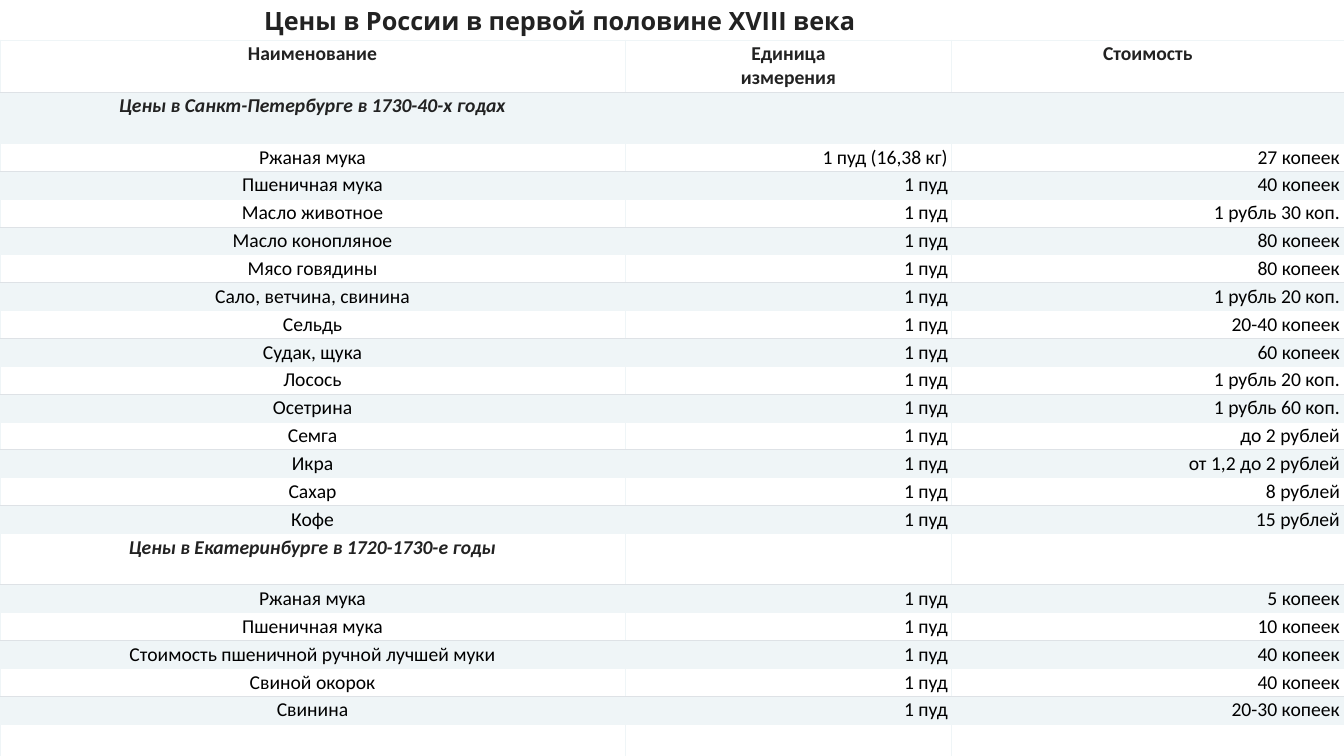
from lxml.etree import SubElement
from pptx import Presentation
from pptx.dml.color import RGBColor
from pptx.enum.text import MSO_ANCHOR, MSO_AUTO_SIZE, PP_ALIGN
from pptx.oxml.ns import qn
from pptx.util import Inches, Pt

TITLE = "Цены в России в первой половине XVIII века"
HEADER = ("Наименование", "Единица\nизмерения", "Стоимость")
PETERSBURG = [
    ("Ржаная мука", "1 пуд (16,38 кг)", "27 копеек"),
    ("Пшеничная мука", "1 пуд", "40 копеек"),
    ("Масло животное", "1 пуд", "1 рубль 30 коп."),
    ("Масло конопляное", "1 пуд", "80 копеек"),
    ("Мясо говядины", "1 пуд", "80 копеек"),
    ("Сало, ветчина, свинина", "1 пуд", "1 рубль 20 коп."),
    ("Сельдь", "1 пуд", "20-40 копеек"),
    ("Судак, щука", "1 пуд", "60 копеек"),
    ("Лосось", "1 пуд", "1 рубль 20 коп."),
    ("Осетрина", "1 пуд", "1 рубль 60 коп."),
    ("Семга", "1 пуд", "до 2 рублей"),
    ("Икра", "1 пуд", "от 1,2 до 2 рублей"),
    ("Сахар", "1 пуд", "8 рублей"),
    ("Кофе", "1 пуд", "15 рублей"),
]
YEKATERINBURG = [
    ("Ржаная мука", "1 пуд", "5 копеек"),
    ("Пшеничная мука", "1 пуд", "10 копеек"),
    ("Стоимость пшеничной ручной лучшей муки", "1 пуд", "40 копеек"),
    ("Свиной окорок", "1 пуд", "40 копеек"),
    ("Свинина", "1 пуд", "20-30 копеек"),
]
ROWS = [
    ("header", HEADER),
    ("section", ("Цены в Санкт-Петербурге в 1730-40-х годах", "", "")),
    *(("item", prices) for prices in PETERSBURG),
    ("section", ("Цены в Екатеринбурге в 1720-1730-е годы", "", "")),
    *(("item", prices) for prices in YEKATERINBURG),
    ("blank", ("", "", "")),
]

COLORS = {"white": "FFFFFF", "band": "EFF5F7", "rule": "DEE2E6",
          "heading": "222222", "text": "000000"}
COLUMN_WIDTHS = (6.2, 3.24, 3.89)
ROW_HEIGHTS = {"header": 0.51, "section": 0.51, "item": 0.27, "blank": 0.5}
FONTS = {
    "header": {"name": "Calibri", "size": Pt(14), "bold": True, "italic": False},
    "section": {"name": "Calibri", "size": Pt(14), "bold": True, "italic": True},
    "item": {"name": "Calibri", "size": Pt(14), "bold": False, "italic": False},
    "title": {"name": "Open Sans", "size": Pt(18), "bold": True},
}
FONTS["blank"] = FONTS["item"]
CELL_FORMAT = {"margin_left": Inches(0.04), "margin_right": Inches(0.04),
               "margin_top": Inches(0.02), "margin_bottom": Inches(0.02),
               "vertical_anchor": MSO_ANCHOR.TOP}
TITLE_PLACE = {"left": Inches(2.52), "top": Inches(0),
               "width": Inches(6.85), "height": Inches(0.4)}
TITLE_FRAME = {"margin_left": Inches(0.1), "margin_right": Inches(0.1),
               "margin_top": Inches(0.05), "margin_bottom": Inches(0.05),
               "word_wrap": True, "auto_size": MSO_AUTO_SIZE.NONE,
               "vertical_anchor": MSO_ANCHOR.TOP}


def apply(target, values):
    for name, value in values.items():
        setattr(target, name, value)


def style_paragraph(para, kind, color, alignment):
    para.alignment = alignment
    apply(para.font, FONTS[kind])
    para.font.color.rgb = RGBColor.from_string(COLORS[color])


def add_borders(cell, top, bottom):
    """Insert the four edges ahead of the fill, as the schema orders them."""
    properties = cell._tc.get_or_add_tcPr()
    edges = {"lnL": "band", "lnR": "band", "lnT": top, "lnB": bottom}
    for position, (edge, color) in enumerate(edges.items()):
        line = SubElement(properties, qn(f"a:{edge}"), w=str(Pt(0.75)))
        fill = SubElement(line, qn("a:solidFill"))
        SubElement(fill, qn("a:srgbClr"), val=COLORS[color])
        properties.insert(position, line)


def fill_cell(cell, text, kind, banded, column):
    apply(cell, CELL_FORMAT)
    cell.fill.solid()
    cell.fill.fore_color.rgb = RGBColor.from_string(COLORS["band" if banded else "white"])
    top = "rule" if banded else "band"
    bottom = "band" if banded or kind == "blank" else "rule"
    add_borders(cell, top, bottom)
    cell.text = text
    color = "heading" if kind in ("header", "section") else "text"
    alignment = PP_ALIGN.RIGHT if kind == "item" and column else PP_ALIGN.CENTER
    for para in cell.text_frame.paragraphs:
        style_paragraph(para, kind, color, alignment)


def add_title(page):
    title = page.shapes.title
    apply(title, TITLE_PLACE)
    apply(title.text_frame, TITLE_FRAME)
    title.text_frame.text = TITLE
    para = title.text_frame.paragraphs[0]
    style_paragraph(para, "title", "heading", PP_ALIGN.LEFT)
    apply(para, {"line_spacing": 1.0, "space_before": Pt(0)})


def add_price_table(page):
    height = sum(ROW_HEIGHTS[kind] for kind, _ in ROWS)
    frame = page.shapes.add_table(len(ROWS), len(COLUMN_WIDTHS), Inches(0), Inches(0.4),
                                  Inches(sum(COLUMN_WIDTHS)), Inches(height))
    table = frame.table
    apply(table, {"first_row": False, "horz_banding": False})
    for column, width in zip(table.columns, COLUMN_WIDTHS):
        column.width = Inches(width)
    for index, (kind, texts) in enumerate(ROWS):
        table.rows[index].height = Inches(ROW_HEIGHTS[kind])
        for column, text in enumerate(texts):
            fill_cell(table.cell(index, column), text, kind, index % 2 == 1, column)


def main():
    deck = Presentation()
    apply(deck, {"slide_width": Inches(13.33), "slide_height": Inches(7.5)})
    page = deck.slides.add_slide(deck.slide_layouts[5])
    add_title(page)
    add_price_table(page)
    deck.save("out.pptx")


if __name__ == "__main__":
    main()
